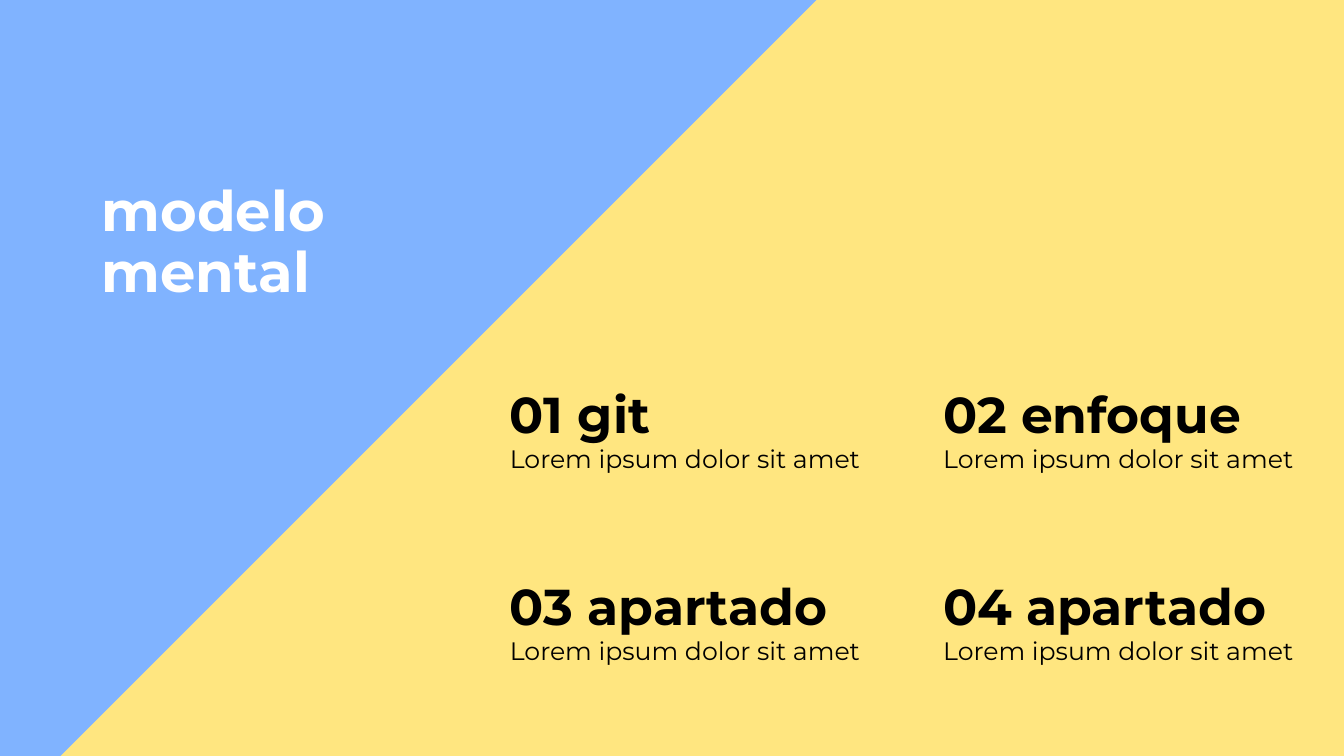
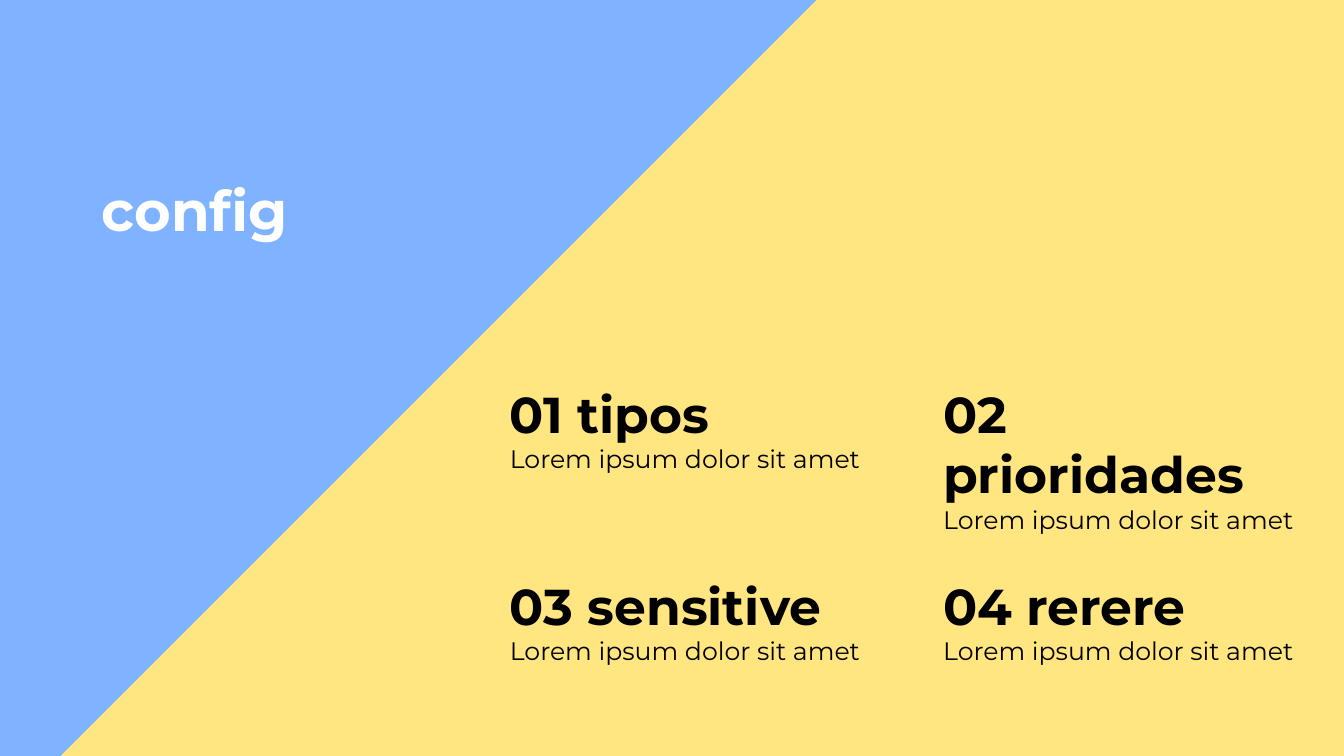
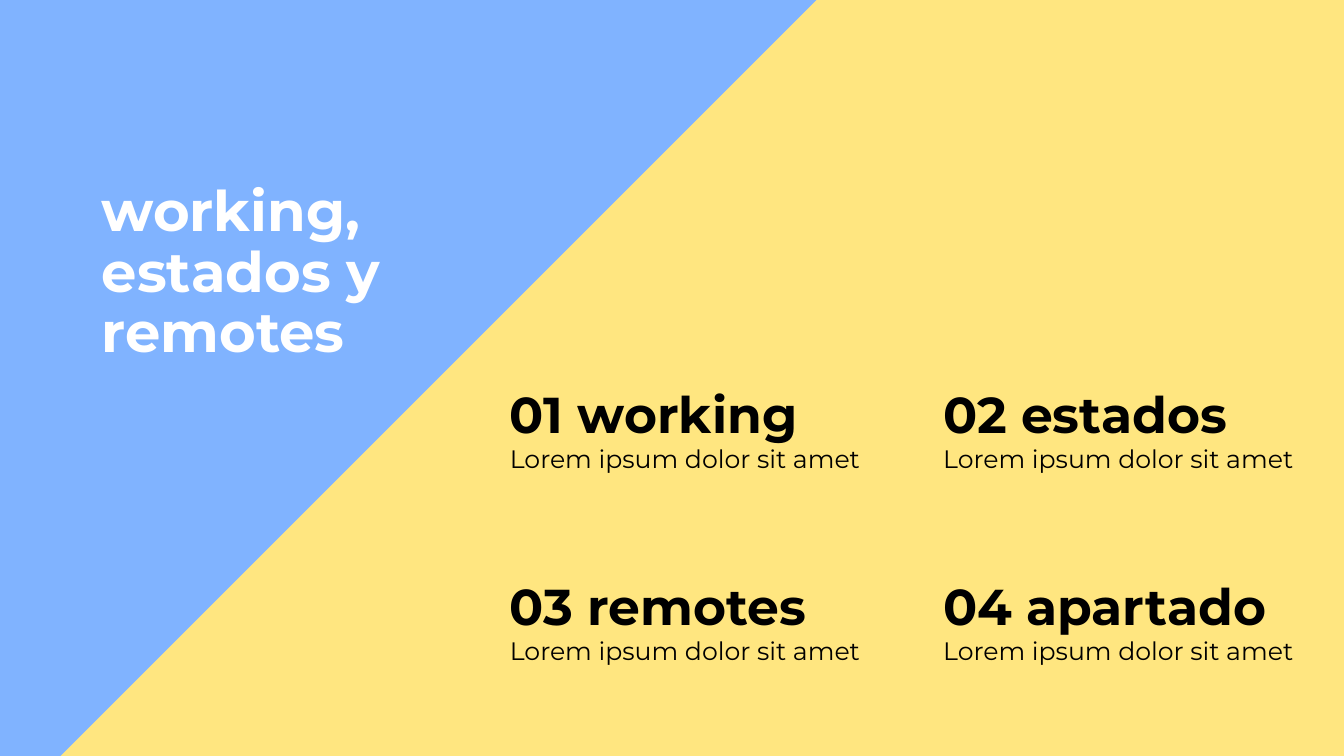
import pptx
import pptx.dml.color
import pptx.enum.shapes
import pptx.enum.text
import pptx.util

Cm = pptx.util.Cm
Pt = pptx.util.Pt
RGBColor = pptx.dml.color.RGBColor
RECTANGLE = pptx.enum.shapes.MSO_SHAPE.RECTANGLE
AUTO_SIZE = pptx.enum.text.MSO_AUTO_SIZE

BLUE = RGBColor(0x80, 0xB3, 0xFF)
YELLOW = RGBColor(0xFF, 0xE6, 0x80)
WHITE = RGBColor(0xFF, 0xFF, 0xFF)
BLACK = RGBColor(0, 0, 0)

FONT = "Montserrat"
TITLE_STYLE = {"name": FONT, "size": Pt(40), "bold": True, "color": WHITE}
HEADING_STYLE = {"name": FONT, "size": Pt(36), "bold": True, "color": BLACK}
DETAIL_STYLE = {"name": FONT, "size": Pt(18), "bold": False, "color": BLACK}

DETAIL = "Lorem ipsum dolor sit amet"
SECTIONS = [
    ("modelo mental", ["git", "enfoque", "apartado", "apartado"]),
    ("config", ["tipos", "prioridades", "sensitive", "rerere"]),
    ("working, estados y remotes", ["working", "estados", "remotes", "apartado"]),
]

GRID_LEFT, GRID_TOP = 12.6, 9.53
COLUMN_STEP, ROW_STEP = 10.92, 4.83


def write(paragraph, text, style):
    span = paragraph.add_run()
    span.text = text
    for name, value in style.items():
        if name == "color":
            span.font.color.rgb = value
        else:
            setattr(span.font, name, value)


def add_panel(page, left, top, width, height, color):
    """Add a plain filled rectangle without outline or shadow."""
    panel = page.shapes.add_shape(RECTANGLE, left, top, width, height)
    panel.shadow.inherit = False
    panel.fill.solid()
    panel.fill.fore_color.rgb = color
    panel.line.fill.background()
    return panel


deck = pptx.Presentation()
deck.slide_width = Cm(33.87)
deck.slide_height = Cm(19.05)
title_only = deck.slide_layouts.get_by_name("Title Only")

for section, topics in SECTIONS:
    page = deck.slides.add_slide(title_only)

    title = page.shapes.title
    title.left, title.top = Cm(2.31), Cm(4.5)
    title.width, title.height = Cm(10.87), Cm(7.92)
    title.text_frame.auto_size = AUTO_SIZE.NONE
    title.text_frame.vertical_anchor = pptx.enum.text.MSO_ANCHOR.TOP
    heading = title.text_frame.paragraphs[0]
    heading.alignment = pptx.enum.text.PP_ALIGN.LEFT
    heading.line_spacing = 0.9
    write(heading, section, TITLE_STYLE)

    backdrop = add_panel(page, 0, 0, deck.slide_width, deck.slide_height, BLUE)
    title.element.addprevious(backdrop.element)
    diagonal = add_panel(page, Cm(10.69), Cm(-3.73), Cm(23.95), Cm(37.16), YELLOW)
    diagonal.rotation = 45

    for index, topic in enumerate(topics):
        row, column = divmod(index, 2)
        box = page.shapes.add_textbox(
            Cm(GRID_LEFT + column * COLUMN_STEP),
            Cm(GRID_TOP + row * ROW_STEP),
            Cm(9.4),
            Cm(2.57),
        )
        frame = box.text_frame
        frame.word_wrap = True
        frame.auto_size = AUTO_SIZE.SHAPE_TO_FIT_TEXT
        write(frame.paragraphs[0], f"{index + 1:02} {topic}", HEADING_STYLE)
        write(frame.add_paragraph(), DETAIL, DETAIL_STYLE)

deck.save("out.pptx")
